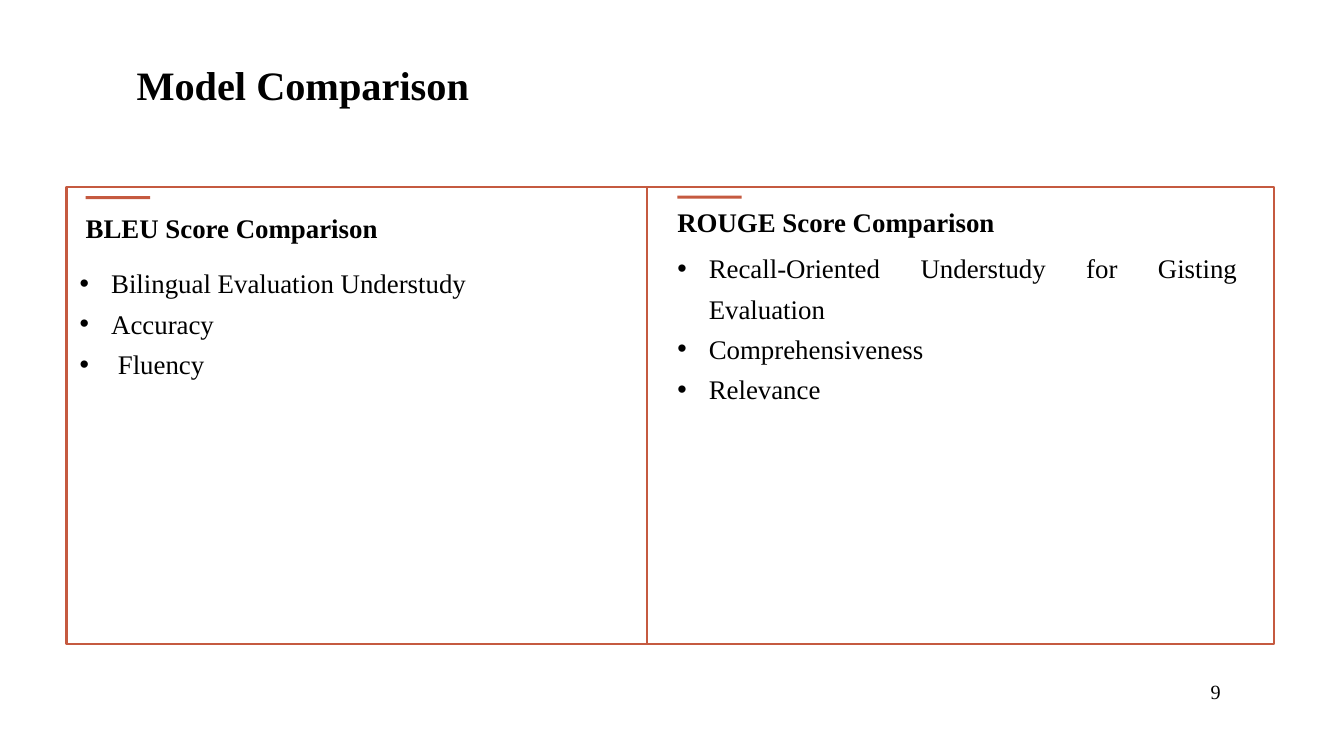
from lxml.etree import SubElement
from pptx import Presentation
from pptx.dml.color import RGBColor
from pptx.enum.shapes import MSO_SHAPE
from pptx.enum.text import MSO_ANCHOR, MSO_AUTO_SIZE, PP_ALIGN
from pptx.oxml.ns import qn
from pptx.util import Pt

COLORS = {"ink": "000000", "accent": "C55A40"}
FONT = "Times New Roman"
BODY_SIZE = 19.2
INDENT = 22.5


class SlideBuilder:
    def __init__(self, slide):
        self.slide = slide

    def rectangle(self, left, top, width, height, fill=None, line=None):
        rect = self.slide.shapes.add_shape(
            MSO_SHAPE.RECTANGLE, Pt(left), Pt(top), Pt(width), Pt(height))
        rect.shadow.inherit = False
        if fill:
            rect.fill.solid()
            rect.fill.fore_color.rgb = RGBColor.from_string(COLORS[fill])
        else:
            rect.fill.background()
        if line:
            rect.line.color.rgb = RGBColor.from_string(COLORS[line])
            rect.line.width = Pt(1.5)
        else:
            rect.line.fill.background()

    def fill_frame(self, frame, lines, size, bold=False, anchor=MSO_ANCHOR.TOP,
                   align=PP_ALIGN.LEFT, spacing=1.25, bullets=False):
        frame.word_wrap = True
        frame.auto_size = MSO_AUTO_SIZE.NONE
        frame.vertical_anchor = anchor
        frame.margin_left = frame.margin_right = Pt(0)
        frame.margin_top = frame.margin_bottom = Pt(0)
        for index, line in enumerate(lines):
            paragraph = frame.add_paragraph() if index else frame.paragraphs[0]
            paragraph.text = line
            paragraph.alignment = align
            paragraph.line_spacing = spacing
            if bullets:
                properties = paragraph._p.get_or_add_pPr()
                properties.set("marL", str(Pt(INDENT)))
                properties.set("indent", str(-Pt(INDENT)))
                SubElement(properties, qn("a:buFont"), typeface="Arial")
                SubElement(properties, qn("a:buChar"), char="•")
            paragraph.font.name = FONT
            paragraph.font.size = Pt(size)
            paragraph.font.bold = bold
            paragraph.font.color.rgb = RGBColor.from_string(COLORS["ink"])

    def text(self, left, top, width, height, lines, size, **style):
        box = self.slide.shapes.add_textbox(
            Pt(left), Pt(top), Pt(width), Pt(height))
        self.fill_frame(box.text_frame, lines, size, **style)

    def title(self, left, top, width, height, wording):
        heading = self.slide.shapes.title
        heading.left, heading.top = Pt(left), Pt(top)
        heading.width, heading.height = Pt(width), Pt(height)
        self.fill_frame(heading.text_frame, [wording], 28.8, bold=True,
                        anchor=MSO_ANCHOR.MIDDLE)

    def panel(self, left, width, heading, heading_at, bar_top, points,
              points_at, points_width):
        self.rectangle(left, 133.7, width, 326.3, line="accent")
        heading_left, heading_top = heading_at
        self.text(heading_left, heading_top, 298, 38.2, [heading], BODY_SIZE,
                  bold=True, anchor=MSO_ANCHOR.MIDDLE)
        self.text(*points_at, points_width, 169.2, points, BODY_SIZE,
                  align=PP_ALIGN.JUSTIFY, bullets=True)
        self.rectangle(heading_left, bar_top, 46.1, 2.2, fill="accent")


def main():
    presentation = Presentation()
    presentation.slide_width, presentation.slide_height = Pt(960), Pt(540)
    builder = SlideBuilder(
        presentation.slides.add_slide(presentation.slide_layouts[5]))
    builder.title(97.5, 29.5, 821.5, 53.3, "Model Comparison")
    builder.panel(
        47.5, 414.7, "BLEU Score Comparison", (61.2, 140.4), 140.1,
        ["Bilingual Evaluation Understudy", "Accuracy", " Fluency"],
        (56.9, 185), 393.1)
    builder.panel(
        462.2, 447.8, "ROUGE Score Comparison", (483.8, 136.1), 139.8,
        ["Recall-Oriented Understudy for Gisting Evaluation",
         "Comprehensiveness", "Relevance"],
        (483.8, 174.2), 400.3)
    builder.text(864.7, 485.3, 72, 17.3, ["9"], 14.4, spacing=1.0)
    presentation.save("out.pptx")


if __name__ == "__main__":
    main()
